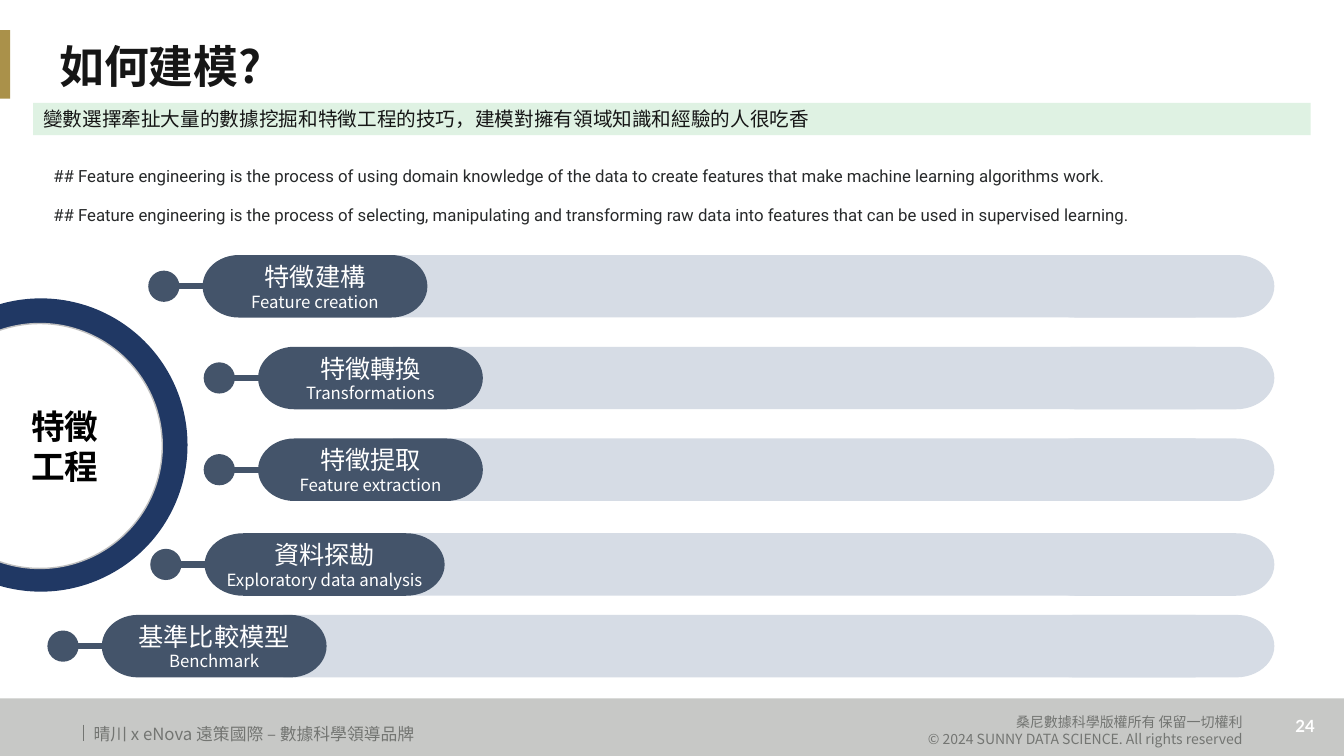
import pptx
import pptx.dml.color
import pptx.enum.shapes
import pptx.enum.text
import pptx.oxml.ns
import pptx.util
from lxml import etree

Inches = pptx.util.Inches
Pt = pptx.util.Pt
Shape = pptx.enum.shapes.MSO_SHAPE
Align = pptx.enum.text.PP_ALIGN
Anchor = pptx.enum.text.MSO_ANCHOR
qn = pptx.oxml.ns.qn

COLORS = {
    "footer": "C7C8C6", "footer_text": "737572", "gold": "AA914A",
    "bar": "D6DCE5", "slate": "44546A", "navy": "203864", "mint": "DFF2E3",
    "ink": "161616", "body": "27292A", "outline": "BFBFBF",
    "white": "FFFFFF", "black": "000000",
}
CJK = "Noto Sans CJK SC"


def rgb(name):
    return pptx.dml.color.RGBColor.from_string(COLORS[name])


class SlideBuilder:
    def __init__(self, slide):
        self.slide = slide

    def shape(self, kind, left, top, width, height, fill, line=None):
        shape = self.slide.shapes.add_shape(
            kind, Inches(left), Inches(top), Inches(width), Inches(height))
        shape.shadow.inherit = False
        shape.fill.solid()
        shape.fill.fore_color.rgb = rgb(fill)
        if line:
            shape.line.color.rgb = rgb(line)
            shape.line.width = Pt(1)
        else:
            shape.line.fill.background()
        return shape

    def line(self, x1, y1, x2, y2, color, width):
        connector = self.slide.shapes.add_connector(
            pptx.enum.shapes.MSO_CONNECTOR.STRAIGHT,
            Inches(x1), Inches(y1), Inches(x2), Inches(y2))
        connector.line.color.rgb = rgb(color)
        connector.line.width = Pt(width)
        etree.SubElement(connector._element.spPr, qn("a:effectLst"))

    def text_box(self, left, top, width, height, lines, **style):
        box = self.slide.shapes.add_textbox(
            Inches(left), Inches(top), Inches(width), Inches(height))
        self.fill_text(box, lines, **style)
        return box

    def fill_text(self, shape, lines, color, font=CJK, bold=False, align=Align.LEFT,
                  anchor=Anchor.TOP, indent=0, gap=0, spacing=None):
        """Each line is a (text, size) pair and becomes one paragraph."""
        frame = shape.text_frame
        frame.word_wrap = True
        frame.vertical_anchor = anchor
        for index, (text, size) in enumerate(lines):
            paragraph = frame.add_paragraph() if index else frame.paragraphs[0]
            paragraph.alignment = align
            if index and gap:
                paragraph.space_before = Pt(gap)
            if spacing:
                paragraph.line_spacing = spacing
            if indent:
                paragraph._p.get_or_add_pPr().set("marL", str(Inches(indent)))
            run = paragraph.add_run()
            run.text = text
            run.font.size = Pt(size)
            run.font.bold = bold
            run.font.color.rgb = rgb(color)
            run.font.name = font
            east_asian = etree.SubElement(run._r.get_or_add_rPr(), qn("a:ea"))
            east_asian.set("typeface", font)

    def feature_row(self, top, pill_left, pill_width, bar_left, title, subtitle):
        height, dot, bar_right, cap = 0.62, 0.31, 12.64, 2.36
        dot_left, middle = pill_left - 0.54, top + height / 2
        # Pale bar with a rounded right end
        self.shape(Shape.RECTANGLE, bar_left, top, 11.86 - bar_left, height, "bar")
        self.shape(Shape.FLOWCHART_TERMINATOR, bar_right - cap, top, cap, height, "bar")
        # Dot, link and labelled pill
        self.line(dot_left + dot / 2, middle, pill_left + 0.25, middle, "slate", 4.5)
        pill = self.shape(Shape.FLOWCHART_TERMINATOR, pill_left, top,
                          pill_width, height, "slate")
        pill.text_frame.margin_left = pill.text_frame.margin_right = 0
        self.fill_text(pill, [(title, 18), (subtitle, 12)], color="white",
                       align=Align.CENTER, anchor=Anchor.MIDDLE)
        self.shape(Shape.OVAL, dot_left, middle - dot / 2, dot, dot, "slate")


def main():
    presentation = pptx.Presentation()
    presentation.slide_width = Inches(13.33)
    presentation.slide_height = Inches(7.5)
    builder = SlideBuilder(presentation.slides.add_slide(presentation.slide_layouts[6]))

    # Footer
    builder.shape(Shape.RECTANGLE, 0, 6.93, 13.33, 0.57, "footer")
    builder.line(0.83, 7.19, 0.83, 7.35, "footer_text", 0.5)
    builder.text_box(12.75, 7.05, 0.39, 0.3, [("24", 12)], color="white",
                     font="Lato", bold=True, align=Align.CENTER)
    builder.text_box(7.68, 7.03, 4.74, 0.44,
                     [("桑尼數據科學版權所有 保留一切權利", 10),
                      ("© 2024 SUNNY DATA SCIENCE. All rights reserved", 10)],
                     color="footer_text", align=Align.RIGHT)
    builder.text_box(0.83, 7.13, 4.74, 0.3,
                     [("晴川 x eNova 遠策國際 – 數據科學領導品牌", 12)],
                     color="footer_text")

    # Title and key message
    builder.shape(Shape.RECTANGLE, -0.03, 0.3, 0.13, 0.68, "gold")
    builder.text_box(0.49, 0.26, 12.42, 0.85, [("如何建模?", 32)], color="ink",
                     bold=True, anchor=Anchor.MIDDLE, spacing=0.9)
    message = builder.shape(Shape.RECTANGLE, 0.33, 1.02, 12.67, 0.32, "mint")
    builder.fill_text(
        message,
        [("變數選擇牽扯大量的數據挖掘和特徵工程的技巧，建模對擁有領域知識和經驗的人很吃香", 14)],
        color="ink", anchor=Anchor.MIDDLE)

    # Definitions
    builder.text_box(0.43, 1.59, 12.15, 0.91, [
        ("## Feature engineering is the process of using domain knowledge of the data "
         "to create features that make machine learning algorithms work.", 12),
        ("## Feature engineering is the process of selecting, manipulating and "
         "transforming raw data into features that can be used in supervised learning.", 12),
    ], color="body", font="Roboto", gap=14)

    # Feature rows
    for row in [
        (2.53, 2.01, 2.23, 3.9, "特徵建構", "Feature creation"),
        (3.44, 2.56, 2.23, 3.9, "特徵轉換", "Transformations"),
        (4.35, 2.56, 2.23, 3.9, "特徵提取", "Feature extraction"),
        (5.29, 2.03, 2.38, 3.9, "資料探勘", "Exploratory data analysis"),
        (6.1, 1.01, 2.23, 2.81, "基準比較模型", "Benchmark"),
    ]:
        builder.feature_row(*row)

    # Central ring
    builder.shape(Shape.OVAL, -1.05, 2.96, 2.91, 2.91, "navy")
    hub = builder.shape(Shape.OVAL, -0.82, 3.21, 2.43, 2.43, "white", line="outline")
    builder.fill_text(hub, [("特徵", 24), ("工程", 24)], color="black", bold=True,
                      align=Align.CENTER, anchor=Anchor.MIDDLE, indent=0.5)

    presentation.save("out.pptx")


if __name__ == "__main__":
    main()
